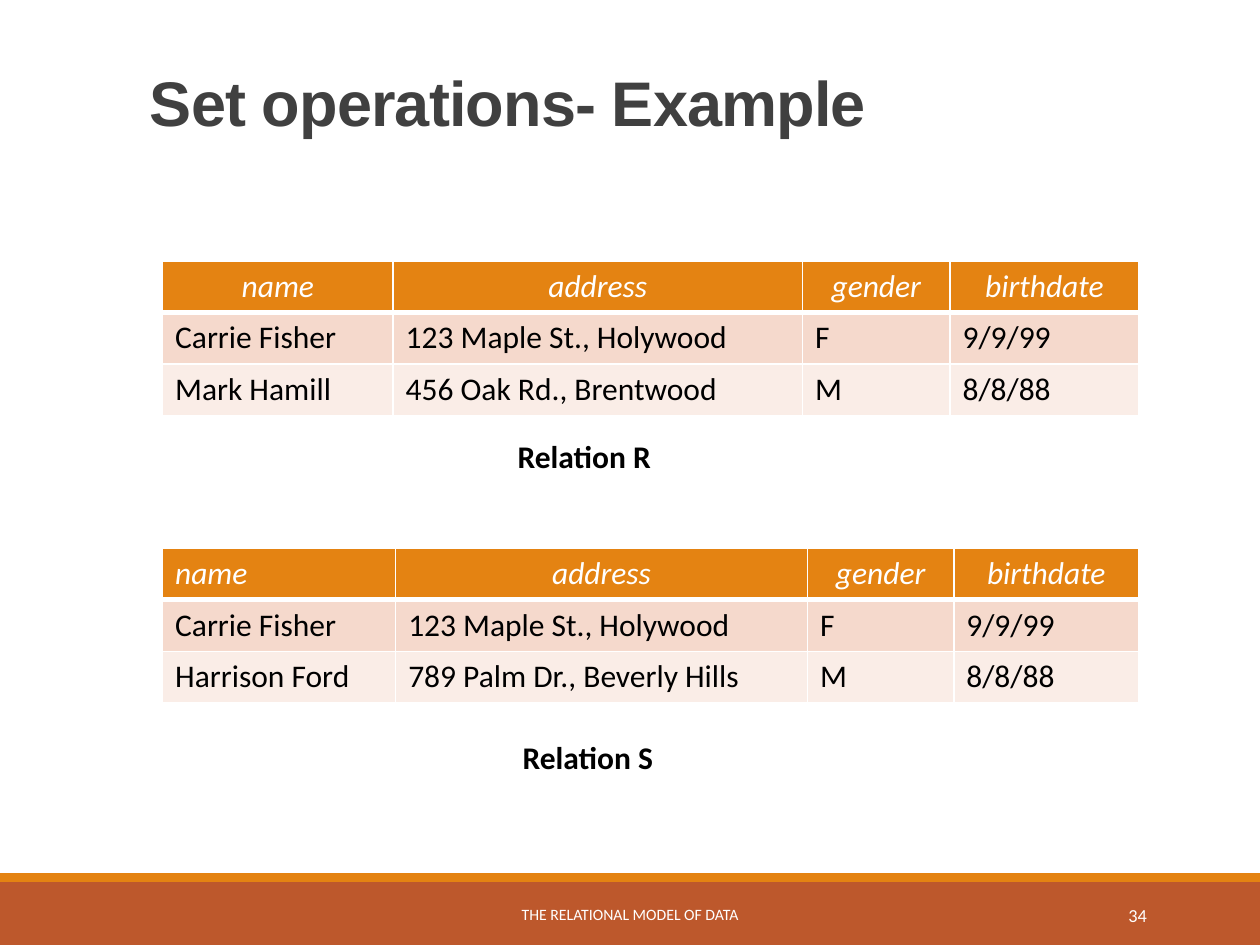
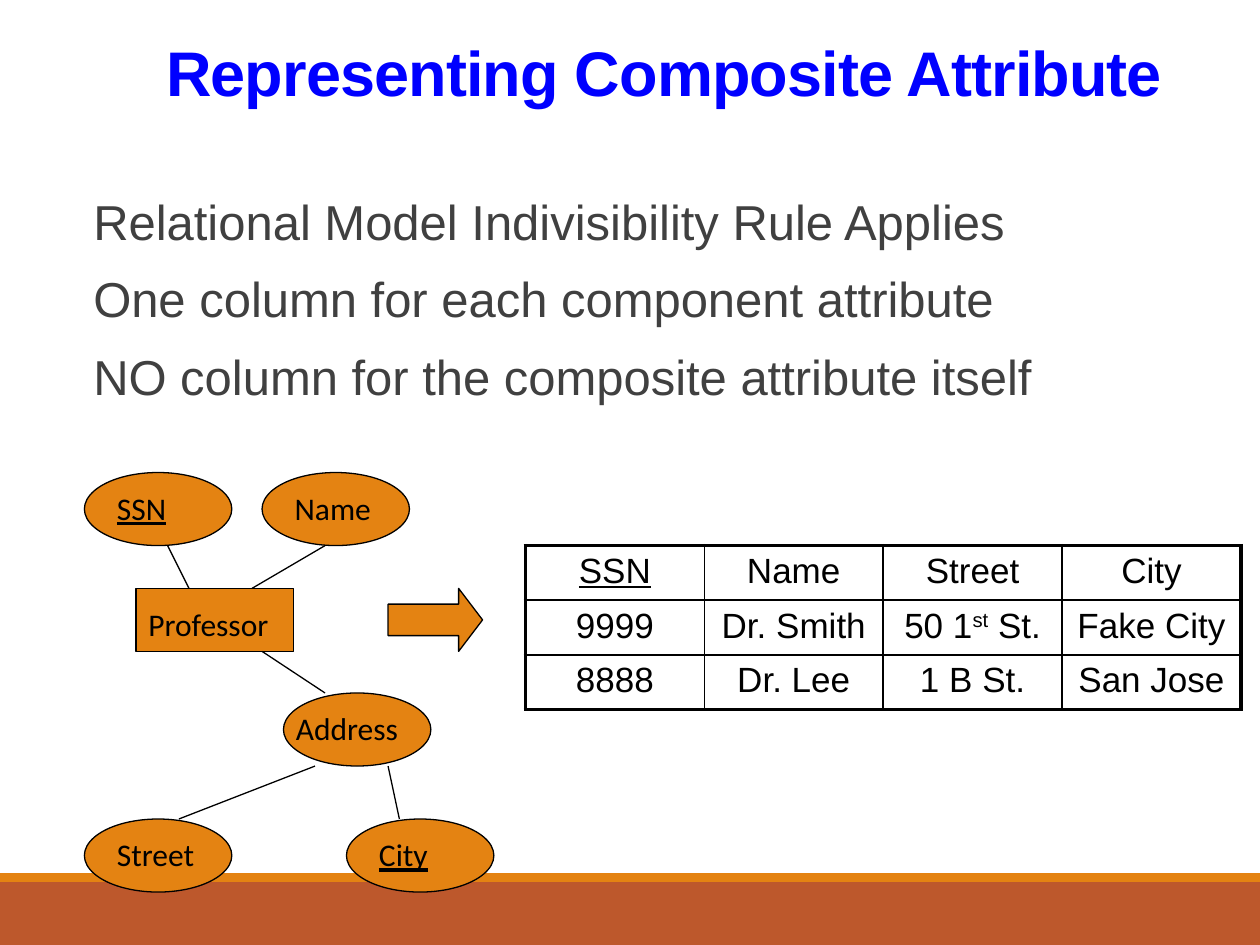
from dataclasses import dataclass
from typing import NamedTuple, Optional

from lxml import etree
from pptx import Presentation
from pptx import util as u
from pptx.dml.color import RGBColor
from pptx.enum import shapes, text
from pptx.oxml import ns

COLORS = {
    "white": "FFFFFF",
    "black": "000000",
    "orange": "E48312",
    "rust": "BD582C",
    "gray": "404040",
    "blue": "0000FF",
    "peach": "F5D9CC",
    "cream": "FAEDE7",
}
LEFT, CENTER, RIGHT = text.PP_ALIGN.LEFT, text.PP_ALIGN.CENTER, text.PP_ALIGN.RIGHT
THIN, THICK = 1, 2.25
OVAL_WIDTH, OVAL_HEIGHT = 1.17, 0.58
LABEL_DROP, LABEL_HEIGHT = 0.08, 0.4


class Area(NamedTuple):
    left: float
    top: float
    width: float
    height: float

    def lengths(self) -> list:
        return [u.Inches(value) for value in self]


class Style(NamedTuple):
    size: float = 18
    color: str = "black"
    font: str = "Calibri"
    bold: bool = False
    italic: bool = False
    underline: bool = False
    spacing: int = 0
    baseline: int = 0


class Span(NamedTuple):
    text: str
    style: Style


@dataclass
class Relation:
    top: float
    columns: list[float]
    rows: list[list[str]]
    name_align: text.PP_ALIGN
    caption: str
    caption_area: Area


@dataclass
class Attribute:
    name: str
    left: float
    top: float
    label_shift: float = 0.16
    label_width: float = 0.92
    is_key: bool = False


TITLE = Style(36, "gray", "Arial", bold=True, spacing=-50)
BODY = Style(28, "gray", "Arial")
LABEL = Style()
KEY = Style(underline=True)
HEADING = Style(color="white", italic=True)
GRID = Style(20, font="Arial")
GRID_KEY = GRID._replace(underline=True)

HEADER = ["name", "address", "gender", "birthdate"]
CARRIE = ["Carrie Fisher", "123 Maple St., Holywood", "F", "9/9/99"]
RELATIONS = [
    Relation(2.07, [1.83, 3.25, 1.17, 1.5],
             [HEADER, CARRIE, ["Mark Hamill", "456 Oak Rd., Brentwood", "M", "8/8/88"]],
             CENTER, "Relation R", Area(4.01, 3.42, 1.58, 0.4)),
    Relation(4.35, [1.85, 3.27, 1.16, 1.47],
             [HEADER, CARRIE, ["Harrison Ford", "789 Palm Dr., Beverly Hills", "M", "8/8/88"]],
             LEFT, "Relation S", Area(4.05, 5.81, 1.54, 0.4)),
]
RULES = [
    "Relational Model Indivisibility Rule Applies",
    "One column for each component attribute",
    "NO column for the composite attribute itself",
]
ATTRIBUTES = [
    Attribute("SSN", 0.67, 3.75, label_width=0.83, is_key=True),
    Attribute("Name", 2.08, 3.75),
    Attribute("Address", 2.25, 5.5, label_shift=0, label_width=1.17),
    Attribute("Street", 0.67, 6.5),
    Attribute("City", 2.75, 6.5, label_width=0.83, is_key=True),
]
LINKS = [
    ((1.33, 4.33), (1.5, 4.67)),
    ((2.58, 4.33), (2, 4.67)),
    ((2.58, 5.5), (2.08, 5.17)),
    ((2.5, 6.08), (1.42, 6.5)),
    ((3.08, 6.08), (3.17, 6.5)),
]
PROFESSORS = [
    ["SSN", "Name", "Street", "City"],
    ["9999", "Dr. Smith", "50 1st St.", "Fake City"],
    ["8888", "Dr. Lee", "1 B St.", "San Jose"],
]


def rgb(name: str) -> RGBColor:
    return RGBColor.from_string(COLORS[name])


def write(para, spans: list[Span], align=LEFT) -> None:
    para.alignment = align
    for words, style in spans:
        span = para.add_run()
        span.text = words
        font = span.font
        font.size, font.name = u.Pt(style.size), style.font
        font.bold, font.italic, font.underline = style.bold, style.italic, style.underline
        font.color.rgb = rgb(style.color)
        properties = span._r.get_or_add_rPr()
        for key, value in (("spc", style.spacing), ("baseline", style.baseline)):
            if value:
                properties.set(key, str(value))


def add_label(page, area: Area, words: str, style: Style, align=LEFT,
              anchor=text.MSO_ANCHOR.TOP) -> None:
    frame = page.shapes.add_textbox(*area.lengths()).text_frame
    frame.word_wrap = True
    frame.vertical_anchor = anchor
    write(frame.paragraphs[0], [Span(words, style)], align)


def add_block(page, kind, area: Area, fill: str, outlined: bool = True):
    block = page.shapes.add_shape(kind, *area.lengths())
    block.shadow.inherit = False
    block.fill.solid()
    block.fill.fore_color.rgb = rgb(fill)
    if outlined:
        block.line.color.rgb = rgb("black")
        block.line.width = u.Pt(0.75)
    else:
        block.line.fill.background()
    return block


def add_link(page, start: tuple, end: tuple) -> None:
    link = page.shapes.add_connector(
        shapes.MSO_CONNECTOR.STRAIGHT, *(u.Inches(value) for value in start + end))
    link.line.color.rgb = rgb("black")
    link.line.width = u.Pt(0.75)
    etree.SubElement(link._element.spPr, ns.qn("a:effectLst"))


def add_table(page, left: float, top: float, columns: list[float], row_height: float,
              row_count: int):
    area = Area(left, top, sum(columns), row_height * row_count)
    table = page.shapes.add_table(row_count, len(columns), *area.lengths()).table
    table.first_row = table.horz_banding = False
    for column, width in zip(table.columns, columns):
        column.width = u.Inches(width)
    for row in table.rows:
        row.height = u.Inches(row_height)
    return table


def format_cell(cell, fill: str, border: str, widths: dict[str, float]) -> None:
    """Fill a cell and draw its borders; widths maps L, R, T and B to points."""
    cell.fill.solid()
    cell.fill.fore_color.rgb = rgb(fill)
    properties = cell._tc.get_or_add_tcPr()
    for position, side in enumerate("LRTB"):
        edge = etree.Element(ns.qn(f"a:ln{side}"), w=str(u.Pt(widths[side])))
        paint = etree.SubElement(edge, ns.qn("a:solidFill"))
        etree.SubElement(paint, ns.qn("a:srgbClr"), val=COLORS[border])
        properties.insert(position, edge)


def format_placeholder(holder, area: Area):
    holder.left, holder.top, holder.width, holder.height = area.lengths()
    frame = holder.text_frame
    frame.auto_size = text.MSO_AUTO_SIZE.NONE
    frame.vertical_anchor = text.MSO_ANCHOR.TOP
    frame.word_wrap = True
    return frame


def start_page(deck, layout: int, title: str, area: Area, style: Style = TITLE, align=LEFT):
    """Add a slide with its title and the two bottom bands."""
    page = deck.slides.add_slide(deck.slide_layouts[layout])
    para = format_placeholder(page.shapes.title, area).paragraphs[0]
    para.line_spacing = 0.85
    write(para, [Span(title, style)], align)
    rectangle = shapes.MSO_SHAPE.RECTANGLE
    add_block(page, rectangle, Area(0, 7, 10, 0.5), "rust", outlined=False)
    add_block(page, rectangle, Area(0, 6.93, 10, 0.07), "orange", outlined=False)
    return page


def add_relation(page, relation: Relation) -> None:
    table = add_table(page, 1.29, relation.top, relation.columns, 0.41, len(relation.rows))
    fills = ["orange", "peach", "cream"]
    for r, row in enumerate(relation.rows):
        for c, words in enumerate(row):
            cell = table.cell(r, c)
            widths = dict.fromkeys("LRTB", THIN)
            if r == 0:
                widths["B"] = 3
                align = relation.name_align if c == 0 else CENTER
            else:
                align = LEFT
            if r == 1:
                widths["T"] = 3
            format_cell(cell, fills[r], "white", widths)
            write(cell.text_frame.paragraphs[0],
                  [Span(words, HEADING if r == 0 else LABEL)], align)
    add_label(page, relation.caption_area, relation.caption, Style(bold=True))


def grid_spans(words: str, is_key: bool) -> list[Span]:
    """Split off the ordinal ending, which is raised."""
    before, ordinal, after = words.partition("st St.")
    if ordinal:
        return [Span(before, GRID), Span("st", GRID._replace(baseline=30000)),
                Span(" St." + after, GRID)]
    return [Span(words, GRID_KEY if is_key else GRID)]


def add_professor_table(page) -> None:
    last_row, last_column = len(PROFESSORS) - 1, len(PROFESSORS[0]) - 1
    table = add_table(page, 4.17, 4.33, [1.42] * (last_column + 1), 0.43, last_row + 1)
    for r, row in enumerate(PROFESSORS):
        for c, words in enumerate(row):
            cell = table.cell(r, c)
            outer = {"L": c == 0, "R": c == last_column, "T": r == 0, "B": r == last_row}
            widths = {side: THICK if is_outer else THIN for side, is_outer in outer.items()}
            format_cell(cell, "white", "black", widths)
            write(cell.text_frame.paragraphs[0], grid_spans(words, r == c == 0), CENTER)


def add_attribute(page, attribute: Attribute) -> None:
    add_block(page, shapes.MSO_SHAPE.OVAL,
              Area(attribute.left, attribute.top, OVAL_WIDTH, OVAL_HEIGHT), "orange")
    label_area = Area(attribute.left + attribute.label_shift, attribute.top + LABEL_DROP,
                      attribute.label_width, LABEL_HEIGHT)
    add_label(page, label_area, attribute.name, KEY if attribute.is_key else LABEL)


def add_rules(page) -> None:
    frame = format_placeholder(page.placeholders[1], Area(0.64, 1.52, 9, 1.92))
    frame.margin_left = frame.margin_right = 0
    for number, rule in enumerate(RULES):
        para = frame.add_paragraph() if number else frame.paragraphs[0]
        properties = para._p.get_or_add_pPr()
        properties.set("marL", str(u.Inches(0.1)))
        properties.set("indent", "0")
        etree.SubElement(properties, ns.qn("a:buNone"))
        para.line_spacing = 0.9
        para.space_before = u.Pt(12 if number else 0)
        para.space_after = u.Pt(2)
        write(para, [Span(rule, BODY)])


def build_set_operations(deck) -> None:
    page = start_page(deck, 5, "Set operations- Example", Area(1.09, 0.55, 8.68, 0.92))
    middle = text.MSO_ANCHOR.MIDDLE
    add_label(page, Area(3.02, 7.06, 3.96, 0.4), "THE RELATIONAL MODEL OF DATA",
              Style(9, "white"), CENTER, middle)
    add_label(page, Area(8.12, 7.06, 1.08, 0.4), "34", Style(10.5, "white"), RIGHT, middle)
    for relation in RELATIONS:
        add_relation(page, relation)


def build_composite_attribute(deck) -> None:
    page = start_page(deck, 1, "Representing Composite Attribute",
                      Area(0.64, 0.31, 8.68, 1.16), TITLE._replace(color="blue"), RIGHT)
    add_rules(page)
    add_block(page, shapes.MSO_SHAPE.RECTANGLE, Area(1.08, 4.67, 1.25, 0.5), "orange")
    add_label(page, Area(1.08, 4.67 + LABEL_DROP, 1.33, LABEL_HEIGHT), "Professor", LABEL)
    for attribute in ATTRIBUTES:
        add_attribute(page, attribute)
    for start, end in LINKS:
        add_link(page, start, end)
    add_professor_table(page)
    arrow = add_block(page, shapes.MSO_SHAPE.RIGHT_ARROW, Area(3.08, 4.67, 0.75, 0.5), "orange")
    arrow.adjustments[0], arrow.adjustments[1] = 0.5, 0.38


def main() -> None:
    deck = Presentation()
    deck.slide_width, deck.slide_height = u.Inches(10), u.Inches(7.5)
    build_set_operations(deck)
    build_composite_attribute(deck)
    deck.save("out.pptx")


if __name__ == "__main__":
    main()
